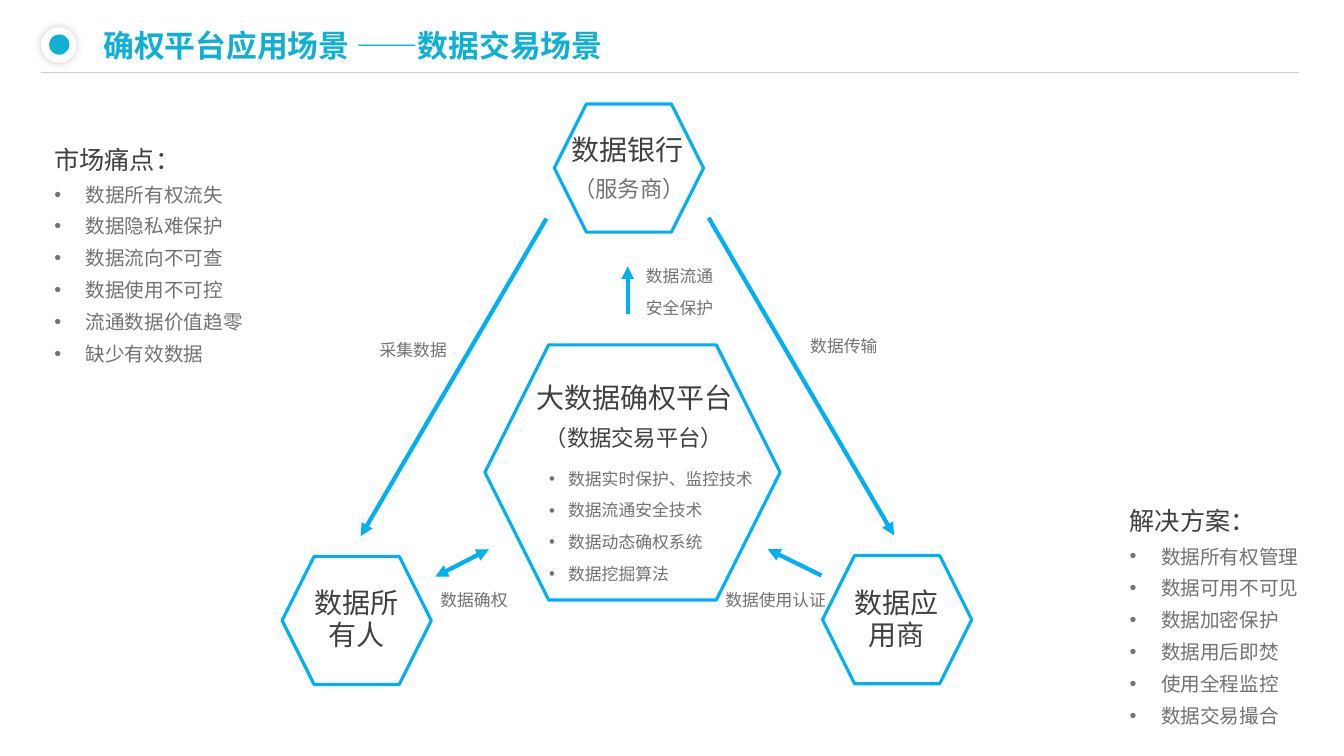
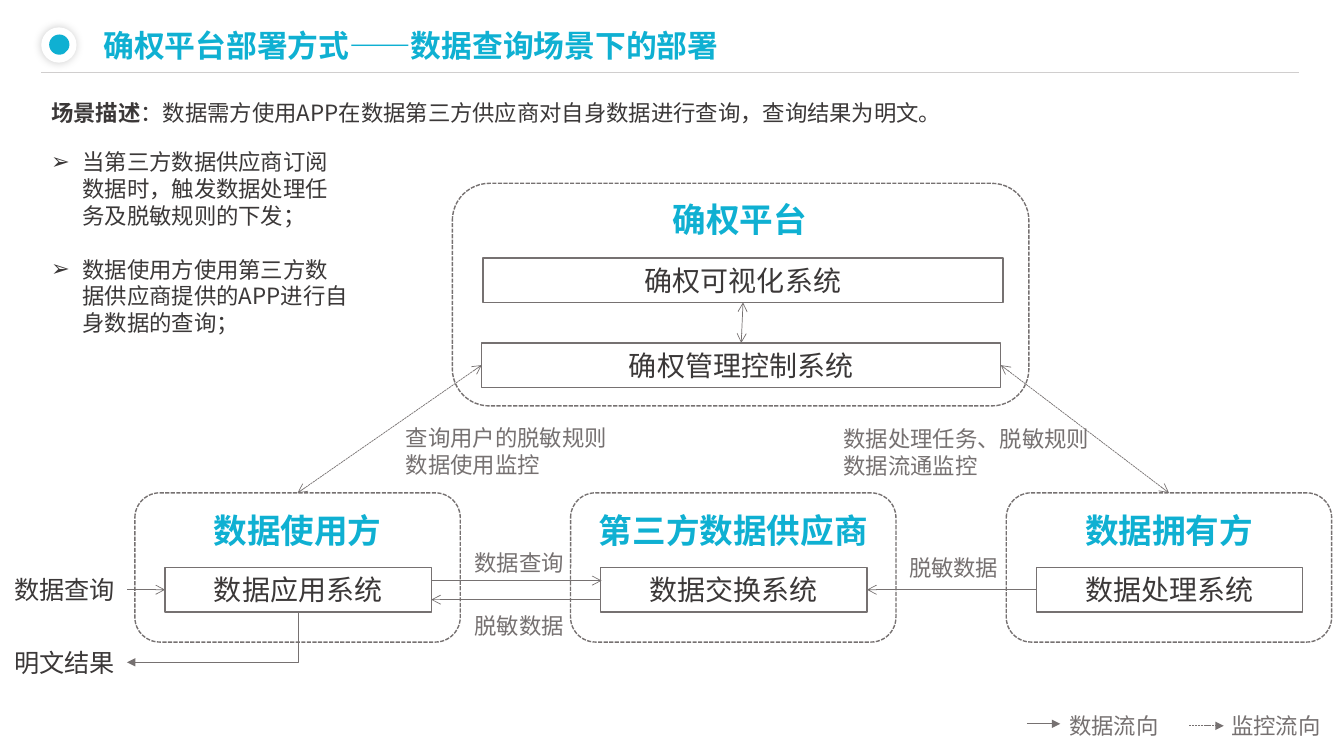
"""Build two slides on a data rights platform: its trading scenario and its deployment."""
from dataclasses import dataclass
from typing import NamedTuple, Optional

from lxml.etree import SubElement
from pptx import Presentation
from pptx.dml.color import RGBColor
from pptx.enum.dml import MSO_LINE
from pptx.enum.shapes import MSO_CONNECTOR, MSO_SHAPE
from pptx.enum.text import MSO_ANCHOR, PP_ALIGN
from pptx.oxml.ns import qn
from pptx.shapes.autoshape import Shape
from pptx.shapes.connector import Connector
from pptx.slide import Slide
from pptx.text.text import TextFrame
from pptx.util import Cm, Pt


@dataclass(frozen=True)
class Theme:
    font: str = "Noto Sans CJK SC"
    accent: str = "0FB0D2"
    bright: str = "00B0F0"
    heading: str = "404040"
    ink: str = "3B3838"
    muted: str = "767171"
    rule: str = "D0CECE"
    white: str = "FFFFFF"
    title_size: float = 22
    party_size: float = 24
    system_size: float = 20
    subhead_size: float = 18
    body_size: float = 16
    list_size: float = 14
    label_size: float = 12
    fixed_leading: float = 22.8
    title_leading: float = 33.8


THEME = Theme()


class Box(NamedTuple):
    left: float
    top: float
    width: float
    height: float


class Label(NamedTuple):
    text: str
    box: Box
    size: float
    color: str = THEME.muted
    align: PP_ALIGN = PP_ALIGN.LEFT


class Arrow(NamedTuple):
    begin: tuple[float, float]
    end: tuple[float, float]
    head: Optional[str] = None
    tail: Optional[str] = None


class ListPanel(NamedTuple):
    heading: str
    items: str
    box: Box


class Party(NamedTuple):
    name: str
    system: str


def rgb(color: str) -> RGBColor:
    return RGBColor.from_string(color)


def lengths(*values: float) -> list[Cm]:
    return [Cm(value) for value in values]


def write_text(frame: TextFrame, text: str, *, size: float, color: str,
               bold: bool = False, bold_lead: str = "",
               align: PP_ALIGN = PP_ALIGN.LEFT, leading: Optional[float] = None,
               bullet: str = "", indent: float = 0, gap: float = 0) -> None:
    for index, line in enumerate(text.split("\n")):
        paragraph = frame.paragraphs[-1]
        if paragraph.runs:
            paragraph = frame.add_paragraph()
        paragraph.alignment = align
        paragraph.line_spacing = Pt(leading or 1.2 * size)
        if index and gap:
            paragraph.space_before = Pt(gap)
        if bullet:
            properties = paragraph._p.get_or_add_pPr()
            properties.set("marL", str(Cm(indent)))
            properties.set("indent", str(-Cm(indent)))
            SubElement(properties, qn("a:buFont"), typeface="Arial")
            SubElement(properties, qn("a:buChar"), char=bullet)
        for content, is_bold in ((bold_lead, True), (line, bold)):
            if not content:
                continue
            run = paragraph.add_run()
            run.text = content
            run.font.size = Pt(size)
            run.font.bold = is_bold
            run.font.name = THEME.font
            run.font.color.rgb = rgb(color)
            SubElement(run._r.get_or_add_rPr(), qn("a:ea"), typeface=THEME.font)


def add_text_box(slide: Slide, box: Box) -> Shape:
    shape = slide.shapes.add_textbox(*lengths(*box))
    shape.text_frame.word_wrap = True
    return shape


def add_label(slide: Slide, label: Label, leading: Optional[float] = None,
              bold: bool = False) -> Shape:
    shape = add_text_box(slide, label.box)
    write_text(shape.text_frame, label.text, size=label.size, color=label.color,
               align=label.align, leading=leading, bold=bold)
    return shape


def add_outline(slide: Slide, kind: MSO_SHAPE, box: Box, color: str, width: float,
                dashed: bool = False) -> Shape:
    shape = slide.shapes.add_shape(kind, *lengths(*box))
    shape.shadow.inherit = False
    shape.fill.background()
    shape.line.color.rgb = rgb(color)
    shape.line.width = Pt(width)
    if dashed:
        shape.line.dash_style = MSO_LINE.SQUARE_DOT
    return shape


def add_disc(slide: Slide, left: float, top: float, size: float, color: str) -> Shape:
    shape = slide.shapes.add_shape(MSO_SHAPE.OVAL, *lengths(left, top, size, size))
    shape.shadow.inherit = False
    shape.fill.solid()
    shape.fill.fore_color.rgb = rgb(color)
    shape.line.fill.background()
    return shape


def add_line(slide: Slide, arrow: Arrow, color: str = THEME.muted, width: float = 0.5,
             dashed: bool = False, kind: MSO_CONNECTOR = MSO_CONNECTOR.STRAIGHT) -> Connector:
    connector = slide.shapes.add_connector(kind, *lengths(*arrow.begin, *arrow.end))
    connector.line.color.rgb = rgb(color)
    connector.line.width = Pt(width)
    if dashed:
        connector.line.dash_style = MSO_LINE.SQUARE_DOT
    outline = connector.line._get_or_add_ln()
    for tag, end_type in (("a:headEnd", arrow.head), ("a:tailEnd", arrow.tail)):
        if end_type:
            SubElement(outline, qn(tag), type=end_type)
    SubElement(connector._element.spPr, qn("a:effectLst"))
    return connector


def join(slide: Slide, begin: Shape, begin_side: int, end: Shape, end_side: int,
         head: Optional[str] = "arrow", tail: Optional[str] = None, dashed: bool = False,
         kind: MSO_CONNECTOR = MSO_CONNECTOR.STRAIGHT) -> Connector:
    connector = add_line(slide, Arrow((0, 0), (1, 1), head, tail), dashed=dashed, kind=kind)
    connector.begin_connect(begin, begin_side)
    connector.end_connect(end, end_side)
    return connector


def add_header(slide: Slide, title: str) -> None:
    disc = add_disc(slide, 1.04, 0.69, 0.89, THEME.white)
    effects = disc._element.spPr.find(qn("a:effectLst"))
    shadow = SubElement(effects, qn("a:outerShdw"), blurRad=str(Pt(6)), dist="0",
                        dir="5400000", algn="ctr", rotWithShape="0")
    shade = SubElement(shadow, qn("a:srgbClr"), val="000000")
    SubElement(shade, qn("a:alpha"), val="19000")
    add_disc(slide, 1.24, 0.87, 0.51, THEME.accent)
    add_label(slide, Label(title, Box(2.36, 0.3, 26.34, 1.47), THEME.title_size, THEME.accent),
              leading=THEME.title_leading, bold=True)
    add_line(slide, Arrow((1.04, 1.83), (32.74, 1.83)), THEME.rule)


def add_list_panel(slide: Slide, panel: ListPanel) -> None:
    frame = add_text_box(slide, panel.box).text_frame
    write_text(frame, panel.heading, size=THEME.subhead_size, color=THEME.heading,
               leading=1.8 * THEME.subhead_size)
    write_text(frame, panel.items, size=THEME.list_size, color=THEME.muted,
               leading=THEME.fixed_leading, bullet="•", indent=0.79)


def add_system(slide: Slide, name: str, box: Box) -> Shape:
    shape = add_outline(slide, MSO_SHAPE.RECTANGLE, box, THEME.muted, 1)
    shape.text_frame.word_wrap = True
    shape.text_frame.vertical_anchor = MSO_ANCHOR.MIDDLE
    write_text(shape.text_frame, name, size=THEME.system_size, color=THEME.ink,
               align=PP_ALIGN.CENTER)
    return shape


def add_group(slide: Slide, name: str, frame: Box, title: Box) -> Shape:
    shape = add_outline(slide, MSO_SHAPE.ROUNDED_RECTANGLE, frame, THEME.muted, 1, dashed=True)
    add_label(slide, Label(name, title, THEME.party_size, THEME.accent, PP_ALIGN.CENTER),
              bold=True)
    return shape


def build_trading_slide(slide: Slide) -> None:
    add_header(slide, "确权平台应用场景 ——数据交易场景")
    panels = (
        ListPanel("市场痛点：", "数据所有权流失\n数据隐私难保护\n数据流向不可查\n"
                  "数据使用不可控\n流通数据价值趋零\n缺少有效数据", Box(1.12, 3.12, 5.99, 6.32)),
        ListPanel("解决方案：", "数据所有权管理\n数据可用不可见\n数据加密保护\n"
                  "数据用后即焚\n使用全程监控\n数据交易撮合", Box(28.22, 12.24, 5.28, 6.32)),
    )
    for panel in panels:
        add_list_panel(slide, panel)

    corners = ((7.11, 14.02), (13.97, 2.62), (20.73, 14))
    hexagons = [Box(12.22, 8.69, 7.44, 6.43)] + [Box(*corner, 3.76, 3.23) for corner in corners]
    for box in hexagons:
        add_outline(slide, MSO_SHAPE.HEXAGON, box, THEME.bright, 2.25)

    arrows = (
        Arrow((13.77, 5.51), (9.09, 13.51), tail="triangle"),
        Arrow((17.86, 5.49), (22.53, 13.49), tail="triangle"),
        Arrow((15.82, 6.71), (15.82, 7.92), head="triangle"),
        Arrow((12.32, 13.84), (10.97, 14.53), head="triangle", tail="triangle"),
        Arrow((19.35, 13.84), (20.7, 14.5), head="triangle"),
    )
    for arrow in arrows:
        add_line(slide, arrow, THEME.bright, 3)

    name_style = (THEME.system_size, THEME.heading, PP_ALIGN.CENTER)
    labels = (
        Label("大数据确权平台", Box(13.11, 9.5, 5.77, 1.07), *name_style),
        Label("数据银行", Box(14.1, 3.25, 3.45, 1.07), *name_style),
        Label("数据应用商", Box(21.03, 14.68, 3.12, 1.9), *name_style),
        Label("数据所有人", Box(7.52, 14.68, 2.95, 1.9), *name_style),
        Label("（数据交易平台）", Box(12.88, 10.44, 6.2, 1.07), THEME.body_size,
              THEME.heading, PP_ALIGN.CENTER),
        Label("（服务商）", Box(14.2, 4.17, 3.5, 1.07), THEME.body_size),
        Label("数据确权", Box(10.85, 14.45, 2.4, 0.97), THEME.label_size),
        Label("数据使用认证", Box(18.03, 14.43, 3.2, 1.07), THEME.label_size),
        Label("数据传输", Box(20.17, 8.05, 2.4, 0.97), THEME.label_size),
        Label("采集数据", Box(9.32, 8.15, 2.4, 0.97), THEME.label_size),
        Label("数据流通安全保护", Box(16.03, 6.27, 2.31, 1.9), THEME.label_size),
    )
    for label in labels:
        add_label(slide, label, leading=THEME.fixed_leading)

    features = add_text_box(slide, Box(13.59, 11.38, 5.79, 3.53))
    write_text(features.text_frame, "数据实时保护、监控技术\n数据流通安全技术\n数据动态确权系统\n数据挖掘算法",
               size=THEME.label_size, color=THEME.muted, leading=THEME.fixed_leading,
               bullet="•", indent=0.48)


def build_deployment_slide(slide: Slide) -> None:
    add_header(slide, "确权平台部署方式——数据查询场景下的部署")
    summary = add_text_box(slide, Box(1.04, 2.03, 31.22, 1.27))
    write_text(summary.text_frame, "：数据需方使用APP在数据第三方供应商对自身数据进行查询，查询结果为明文。",
               bold_lead="场景描述", size=THEME.body_size, color=THEME.ink,
               leading=1.8 * THEME.body_size)
    steps = add_text_box(slide, Box(1.04, 3.61, 8, 5.05))
    write_text(steps.text_frame, "当第三方数据供应商订阅数据时，触发数据处理任务及脱敏规则的下发；\n"
               "数据使用方使用第三方数据供应商提供的APP进行自身数据的查询；",
               size=THEME.body_size, color=THEME.ink, bullet="➢", indent=0.79,
               gap=1.2 * THEME.body_size)

    add_group(slide, "确权平台", Box(11.4, 4.62, 14.53, 5.61), Box(14.58, 4.9, 8.13, 1.27))
    display = add_system(slide, "确权可视化系统", Box(12.17, 6.5, 13.11, 1.12))
    control = add_system(slide, "确权管理控制系统", Box(12.14, 8.64, 13.08, 1.12))

    parties = (Party("数据使用方", "数据应用系统"), Party("第三方数据供应商", "数据交换系统"),
               Party("数据拥有方", "数据处理系统"))
    groups, systems = [], []
    for index, party in enumerate(parties):
        left = 3.4 + 10.98 * index
        groups.append(add_group(slide, party.name, Box(left, 12.42, 8.2, 3.76),
                                Box(left + 0.38, 12.73, 7.44, 1.27)))
        systems.append(add_system(slide, party.system, Box(left + 0.76, 14.3, 6.71, 1.12)))
    user, supplier, owner = systems

    query, result = (
        add_label(slide, Label(text, Box(0.05, top, 3.15, 1.02), THEME.subhead_size,
                               THEME.ink, PP_ALIGN.CENTER))
        for text, top in (("数据查询", 14.35), ("明文结果", 16.18)))

    labels = (
        Label("查询用户的脱敏规则\n数据使用监控", Box(9.98, 10.57, 7.09, 1.63), THEME.body_size),
        Label("数据处理任务、脱敏规则\n数据流通监控", Box(21.01, 10.59, 7.65, 1.63), THEME.body_size),
        Label("数据查询", Box(11.71, 13.72, 3, 0.94), THEME.body_size),
        Label("脱敏数据", Box(11.71, 15.29, 3, 0.94), THEME.body_size),
        Label("脱敏数据", Box(22.66, 13.84, 3, 0.94), THEME.body_size),
        Label("数据流向", Box(26.7, 17.83, 3, 0.94), THEME.body_size),
        Label("监控流向", Box(30.78, 17.83, 3, 0.94), THEME.body_size),
    )
    for label in labels:
        add_label(slide, label)

    join(slide, display, 2, control, 0, tail="arrow")
    join(slide, control, 1, groups[0], 0, tail="arrow", dashed=True)
    join(slide, control, 3, groups[2], 0, tail="arrow", dashed=True)
    join(slide, supplier, 3, owner, 1)
    join(slide, user, 1, query, 3)
    bend = join(slide, result, 3, user, 2, head="triangle", kind=MSO_CONNECTOR.ELBOW)
    bend._element.spPr.find(qn("a:prstGeom")).set("prst", "bentConnector2")
    add_line(slide, Arrow((10.87, 14.63), (15.16, 14.63), tail="arrow"))
    add_line(slide, Arrow((10.87, 15.11), (15.11, 15.11), head="arrow"))
    add_line(slide, Arrow((25.88, 18.24), (26.72, 18.24), tail="triangle"))
    add_line(slide, Arrow((29.97, 18.29), (30.84, 18.29), tail="triangle"), dashed=True)


def main() -> None:
    presentation = Presentation()
    presentation.slide_width, presentation.slide_height = lengths(33.87, 19.05)
    for build in (build_trading_slide, build_deployment_slide):
        build(presentation.slides.add_slide(presentation.slide_layouts[6]))
    presentation.save("out.pptx")


if __name__ == "__main__":
    main()
